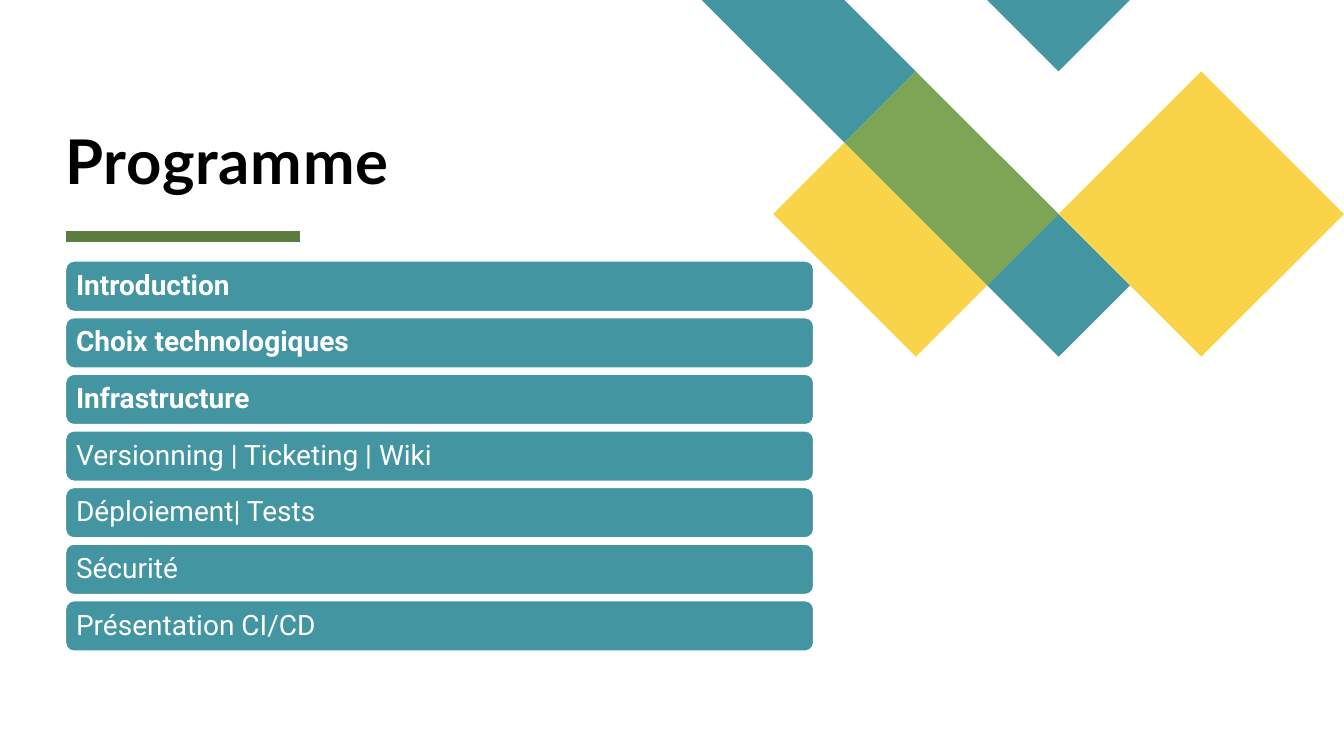
from dataclasses import dataclass

from lxml.etree import SubElement
from pptx import Presentation
from pptx.dml.color import RGBColor
from pptx.enum.shapes import MSO_CONNECTOR, MSO_SHAPE
from pptx.enum.text import MSO_ANCHOR, MSO_AUTO_SIZE, PP_ALIGN
from pptx.oxml.ns import qn
from pptx.shapes.base import BaseShape
from pptx.slide import Slide
from pptx.text.text import TextFrame
from pptx.util import Inches, Pt

Contour = tuple[tuple[int, int], ...]


@dataclass(frozen=True)
class Theme:
    teal: RGBColor = RGBColor.from_string("4495A2")
    yellow: RGBColor = RGBColor.from_string("F9D448")
    green: RGBColor = RGBColor.from_string("7CA655")
    dark_green: RGBColor = RGBColor.from_string("5D7D40")
    white: RGBColor = RGBColor.from_string("FFFFFF")
    black: RGBColor = RGBColor.from_string("000000")
    title_font: str = "Lato"
    body_font: str = "Roboto"
    title_size: Pt = Pt(44)
    body_size: Pt = Pt(20)
    rule_width: Pt = Pt(8)
    border_width: Pt = Pt(1)


@dataclass(frozen=True)
class Tile:
    """Contours are (column, row) points on the mosaic grid."""
    color: RGBColor
    contours: tuple[Contour, ...]


@dataclass(frozen=True)
class Topic:
    text: str
    bold: bool = False


THEME = Theme()
SLIDE_WIDTH, SLIDE_HEIGHT = Inches(13.33), Inches(7.5)

# The mosaic spans nine square cells, flush with the top right corner.
MOSAIC_LEFT = Inches(6.96)
MOSAIC_CELL = (SLIDE_WIDTH - MOSAIC_LEFT) / 9

# Title, rule and topic bars share one column.
COLUMN_LEFT, COLUMN_WIDTH = Inches(0.65), Inches(7.42)
TITLE_TOP, TITLE_HEIGHT = Inches(0.21), Inches(1.74)
RULE_TOP, RULE_LENGTH = Inches(2.35), Inches(2.33)
LIST_TOP, LIST_BOTTOM = Inches(2.59), Inches(6.46)
BAR_HEIGHT = Inches(0.5)

TILES = (
    Tile(THEME.teal, (((0, 0), (2, 0), (3, 1), (2, 2)),
                      ((5, 3), (6, 4), (5, 5), (4, 4)))),
    Tile(THEME.yellow, (((2, 2), (4, 4), (3, 5), (1, 3)),)),
    Tile(THEME.teal, (((4, 0), (6, 0), (5, 1)),)),
    Tile(THEME.green, (((3, 1), (5, 3), (4, 4), (2, 2)),)),
    Tile(THEME.yellow, (((7, 1), (9, 3), (7, 5), (5, 3)),)),
)

TOPICS = (
    Topic("Introduction", bold=True),
    Topic("Choix technologiques", bold=True),
    Topic("Infrastructure", bold=True),
    Topic("Versionning | Ticketing | Wiki"),
    Topic("Déploiement| Tests"),
    Topic("Sécurité"),
    Topic("Présentation CI/CD"),
)


def apply_format(target: object, values: dict[str, object]) -> None:
    for name, value in values.items():
        setattr(target, name, value)


def fill_plain(shape: BaseShape, color: RGBColor) -> None:
    shape.shadow.inherit = False
    shape.fill.solid()
    shape.fill.fore_color.rgb = color


def write_line(frame: TextFrame, text: str, frame_format: dict[str, object],
               line_spacing: float, font_format: dict[str, object],
               color: RGBColor) -> None:
    apply_format(frame, {"word_wrap": True, "auto_size": MSO_AUTO_SIZE.NONE,
                         **frame_format})
    paragraph = frame.paragraphs[0]
    apply_format(paragraph, {"alignment": PP_ALIGN.LEFT,
                             "line_spacing": line_spacing})
    run = paragraph.add_run()
    run.text = text
    apply_format(run.font, font_format)
    run.font.color.rgb = color


def add_tile(slide: Slide, tile: Tile) -> None:
    first, *others = tile.contours
    builder = slide.shapes.build_freeform(*first[0], scale=MOSAIC_CELL)
    builder.add_line_segments(first[1:], close=True)
    for contour in others:
        builder.move_to(*contour[0])
        builder.add_line_segments(contour[1:], close=True)
    shape = builder.convert_to_shape(MOSAIC_LEFT, 0)
    fill_plain(shape, tile.color)
    shape.line.fill.background()


def add_rule(slide: Slide) -> None:
    rule = slide.shapes.add_connector(
        MSO_CONNECTOR.STRAIGHT, COLUMN_LEFT, RULE_TOP,
        COLUMN_LEFT + RULE_LENGTH, RULE_TOP)
    rule.line.color.rgb = THEME.dark_green
    rule.line.width = THEME.rule_width
    SubElement(rule.element.spPr, qn("a:effectLst"))


def add_title(slide: Slide) -> None:
    title = slide.shapes.title
    apply_format(title, {"left": COLUMN_LEFT, "top": TITLE_TOP,
                         "width": COLUMN_WIDTH, "height": TITLE_HEIGHT})
    frame = title.text_frame
    write_line(
        frame, "Programme",
        {"vertical_anchor": MSO_ANCHOR.BOTTOM, "margin_left": 0,
         "margin_right": 0, "margin_top": 0, "margin_bottom": 0},
        0.8,
        {"name": THEME.title_font, "size": THEME.title_size, "bold": True},
        THEME.black)
    letter_spacing = "50"
    frame.paragraphs[0].runs[0].font._element.set("spc", letter_spacing)


def add_topic(slide: Slide, topic: Topic, top: int) -> None:
    bar = slide.shapes.add_shape(MSO_SHAPE.ROUNDED_RECTANGLE, COLUMN_LEFT,
                                 top, COLUMN_WIDTH, BAR_HEIGHT)
    fill_plain(bar, THEME.teal)
    bar.line.color.rgb = THEME.white
    bar.line.width = THEME.border_width
    write_line(
        bar.text_frame, topic.text,
        {"vertical_anchor": MSO_ANCHOR.MIDDLE, "margin_left": Inches(0.08),
         "margin_right": Inches(0.08), "margin_top": Inches(0.08),
         "margin_bottom": Inches(0.08)},
        0.9,
        {"name": THEME.body_font, "size": THEME.body_size,
         "bold": topic.bold},
        THEME.white)


def main() -> None:
    presentation = Presentation()
    apply_format(presentation, {"slide_width": SLIDE_WIDTH,
                                "slide_height": SLIDE_HEIGHT})
    title_only = presentation.slide_layouts[5]
    slide = presentation.slides.add_slide(title_only)

    for tile in TILES:
        add_tile(slide, tile)
    add_rule(slide)
    add_title(slide)
    pitch = (LIST_BOTTOM - BAR_HEIGHT - LIST_TOP) / (len(TOPICS) - 1)
    for index, topic in enumerate(TOPICS):
        add_topic(slide, topic, round(LIST_TOP + index * pitch))

    presentation.save("out.pptx")


if __name__ == "__main__":
    main()
